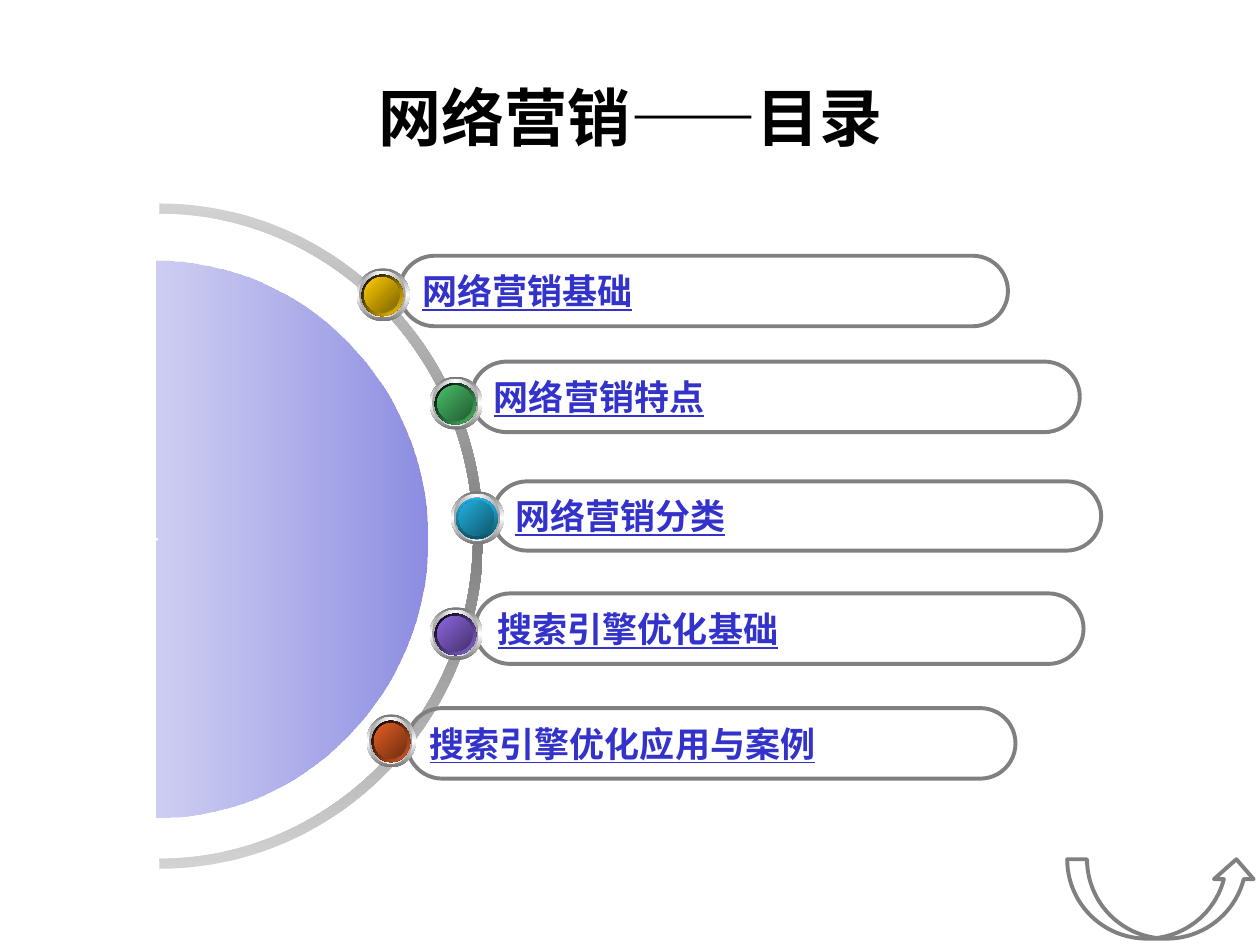
from lxml.etree import SubElement
from pptx import Presentation
from pptx.dml.color import RGBColor
from pptx.enum.shapes import MSO_SHAPE
from pptx.enum.text import MSO_ANCHOR, PP_ALIGN
from pptx.oxml.ns import qn
from pptx.util import Inches, Pt

BLACK = RGBColor(0x00, 0x00, 0x00)
WHITE = RGBColor(0xFF, 0xFF, 0xFF)
GREY = RGBColor(0x80, 0x80, 0x80)
SILVER = RGBColor(0xD2, 0xD2, 0xD2)
RIM_GREY = RGBColor(0x76, 0x76, 0x76)
BEVEL_GREY = RGBColor(0xA2, 0xA2, 0xA2)
BLUE = RGBColor(0x33, 0x33, 0xCC)
NAVY = RGBColor(0x27, 0x27, 0x9C)
GOLD = RGBColor(0xFF, 0xCC, 0x00)
DARK_GOLD = RGBColor(0x7C, 0x63, 0x00)
GREEN = RGBColor(0x48, 0xBE, 0x67)
DARK_GREEN = RGBColor(0x23, 0x5C, 0x32)
CYAN = RGBColor(0x21, 0xB3, 0xE1)
DARK_CYAN = RGBColor(0x10, 0x57, 0x6D)
DEEP_CYAN = RGBColor(0x0F, 0x53, 0x68)
PURPLE = RGBColor(0x8D, 0x67, 0xE1)
DARK_PURPLE = RGBColor(0x45, 0x32, 0x6D)
ORANGE = RGBColor(0xE3, 0x5E, 0x23)
DARK_ORANGE = RGBColor(0x6E, 0x2E, 0x11)

CJK = "Noto Sans CJK SC"
ORB_SIZE = 0.42
CURVE_RATIO = 0.55

TOPICS = [
    ("网络营销基础", CJK, (3.17, 2.03, 0.56), (2.83, 2.13), ORB_SIZE, GOLD, DARK_GOLD, (BLACK, GOLD), 45),
    ("网络营销特点", "Arial", (3.74, 2.87, 0.56), (3.41, 2.99), ORB_SIZE, GREEN, DARK_GREEN, (BLACK, GREEN), 45),
    ("网络营销分类", "Arial", (3.91, 3.82, 0.55), (3.58, 3.9), ORB_SIZE, CYAN, DARK_CYAN, (CYAN, DEEP_CYAN), 90),
    ("搜索引擎优化基础", CJK, (3.77, 4.71, 0.56), (3.41, 4.82), ORB_SIZE, PURPLE, DARK_PURPLE, (BLACK, PURPLE), 45),
    ("搜索引擎优化应用与案例", CJK, (3.23, 5.62, 0.56), (2.91, 5.67), 0.39, ORANGE, DARK_ORANGE, (BLACK, ORANGE), 45),
]


def fill_gradient(shape, colours, angle, opacities=None):
    shape.shadow.inherit = False
    shape.line.fill.background()
    shape.fill.gradient()
    gradient = shape.element.spPr.find(qn("a:gradFill"))
    for child in list(gradient):
        gradient.remove(child)
    gradient.set("rotWithShape", "1")
    stops = SubElement(gradient, qn("a:gsLst"))
    for index, colour in enumerate(colours):
        position = 100000 * index // (len(colours) - 1)
        stop = SubElement(stops, qn("a:gs"), pos=str(position))
        stop_colour = SubElement(stop, qn("a:srgbClr"), val=str(colour))
        if opacities:
            SubElement(stop_colour, qn("a:alpha"), val=str(opacities[index] * 1000))
    SubElement(gradient, qn("a:lin"), ang=str(angle * 60000), scaled="0")


def format_text(paragraph, font_name, size, colour):
    font = paragraph.runs[0].font
    font.name = font_name
    font.size = Pt(size)
    font.bold = True
    font.color.rgb = colour
    return font


def add_title(slide):
    title = slide.shapes.title
    title.left, title.top = Inches(0.5), Inches(0.3)
    title.width, title.height = Inches(9), Inches(1.25)
    frame = title.text_frame
    frame.text = "网络营销——目录"
    frame.vertical_anchor = MSO_ANCHOR.MIDDLE
    frame.paragraphs[0].alignment = PP_ALIGN.CENTER
    format_text(frame.paragraphs[0], "Karla", 36, BLACK)


def arch(centre, base, radius_x, radius_y, direction=1):
    start, end = centre - direction * radius_x, centre + direction * radius_x
    pull_x, pull_y = direction * CURVE_RATIO * radius_x, CURVE_RATIO * radius_y
    top = base - radius_y
    return [
        ("cubicBezTo", [(start, base - pull_y), (centre - pull_x, top), (centre, top)]),
        ("cubicBezTo", [(centre + pull_x, top), (end, base - pull_y), (end, base)]),
    ]


def add_curved_outline(shapes, left, top, width, height, commands):
    builder = shapes.build_freeform(Inches(left), Inches(top))
    builder.add_line_segments([(Inches(left + width), Inches(top + height))])
    outline = builder.convert_to_shape()
    outline.rotation = 90
    path = outline.element.spPr.find(".//" + qn("a:path"))
    for child in list(path):
        path.remove(child)
    for command, points in commands:
        step = SubElement(path, qn("a:" + command))
        for x, y in points:
            SubElement(step, qn("a:pt"), x=str(Inches(x)), y=str(Inches(y)))
    SubElement(path, qn("a:close"))
    return outline


def add_ring(shapes):
    centre, base = 2.64, 2.57
    commands = [("moveTo", [(0.08, base)])]
    commands += arch(centre, base, 2.56, 2.49)
    commands += [("lnTo", [(5.28, base)])]
    commands += arch(centre, base, 2.64, 2.57, -1)
    ring = add_curved_outline(shapes, -1.41, 1.65, 5.28, 5.21, commands)
    fill_gradient(ring, (SILVER, GREY, SILVER), 0)


def add_half_disc(shapes):
    centre, base = 2.21, 2.15
    commands = [
        ("moveTo", [(2.22, base)]),
        ("cubicBezTo", [(2.22, 2.14), (2.21, 2.14), (2.21, 2.14)]),
        ("cubicBezTo", [(2.2, 2.14), (2.2, 2.14), (2.2, base)]),
        ("lnTo", [(0, base)]),
    ]
    commands += arch(centre, base, 2.21, 2.15)
    disc = add_curved_outline(shapes, -0.96, 2.13, 4.41, 4.29, commands)
    fill_gradient(disc, (BLUE, WHITE), 90, (56, 48))


def add_outlined_shape(shapes, preset, left, top, width, height):
    shape = shapes.add_shape(preset, Inches(left), Inches(top), Inches(width), Inches(height))
    shape.shadow.inherit = False
    shape.fill.background()
    shape.line.color.rgb = GREY
    shape.line.width = Pt(2.25)
    return shape


def add_pill(shapes, topic, font_name, left, top, height):
    pill = add_outlined_shape(shapes, MSO_SHAPE.ROUNDED_RECTANGLE, left, top, 4.83, height)
    pill.adjustments[0] = 0.5
    frame = pill.text_frame
    frame.text = topic
    frame.word_wrap = False
    frame.vertical_anchor = MSO_ANCHOR.MIDDLE
    frame.paragraphs[0].alignment = PP_ALIGN.LEFT
    format_text(frame.paragraphs[0], font_name, 20, BLUE).underline = True


def add_orb(shapes, left, top, width, colour, dark_colour, rim_colours, rim_angle):
    layers = [
        (0, 0, 0.42, (RIM_GREY, WHITE, RIM_GREY), 90),
        (0.02, 0.02, 0.37, (BEVEL_GREY, WHITE, BEVEL_GREY), 0),
        (0.04, 0.05, 0.33, (WHITE, BLUE, WHITE), 45),
        (0.04, 0.05, 0.33, rim_colours, rim_angle),
        (0.06, 0.07, 0.28, (NAVY, BLUE, NAVY), 315),
        (0.06, 0.07, 0.28, (colour, dark_colour), 45),
    ]
    squeeze = width / ORB_SIZE
    for inset_x, inset_y, size, colours, angle in layers:
        disc = shapes.add_shape(
            MSO_SHAPE.OVAL, Inches(left + inset_x), Inches(top + inset_y),
            Inches(size * squeeze), Inches(size))
        fill_gradient(disc, colours, angle)


def main():
    presentation = Presentation()
    presentation.slide_width, presentation.slide_height = Inches(10), Inches(7.5)
    slide = presentation.slides.add_slide(presentation.slide_layouts[5])
    add_title(slide)

    contents = slide.shapes.add_group_shape().shapes
    add_ring(contents)
    add_half_disc(contents)
    for topic, font_name, pill_place, *_ in reversed(TOPICS):
        add_pill(contents, topic, font_name, *pill_place)
    for _, _, _, orb_corner, *orb_style in TOPICS:
        add_orb(contents, *orb_corner, *orb_style)

    add_outlined_shape(slide.shapes, MSO_SHAPE.CURVED_UP_ARROW, 8.47, 6.82, 1.5, 0.63)
    presentation.save("out.pptx")


if __name__ == "__main__":
    main()
